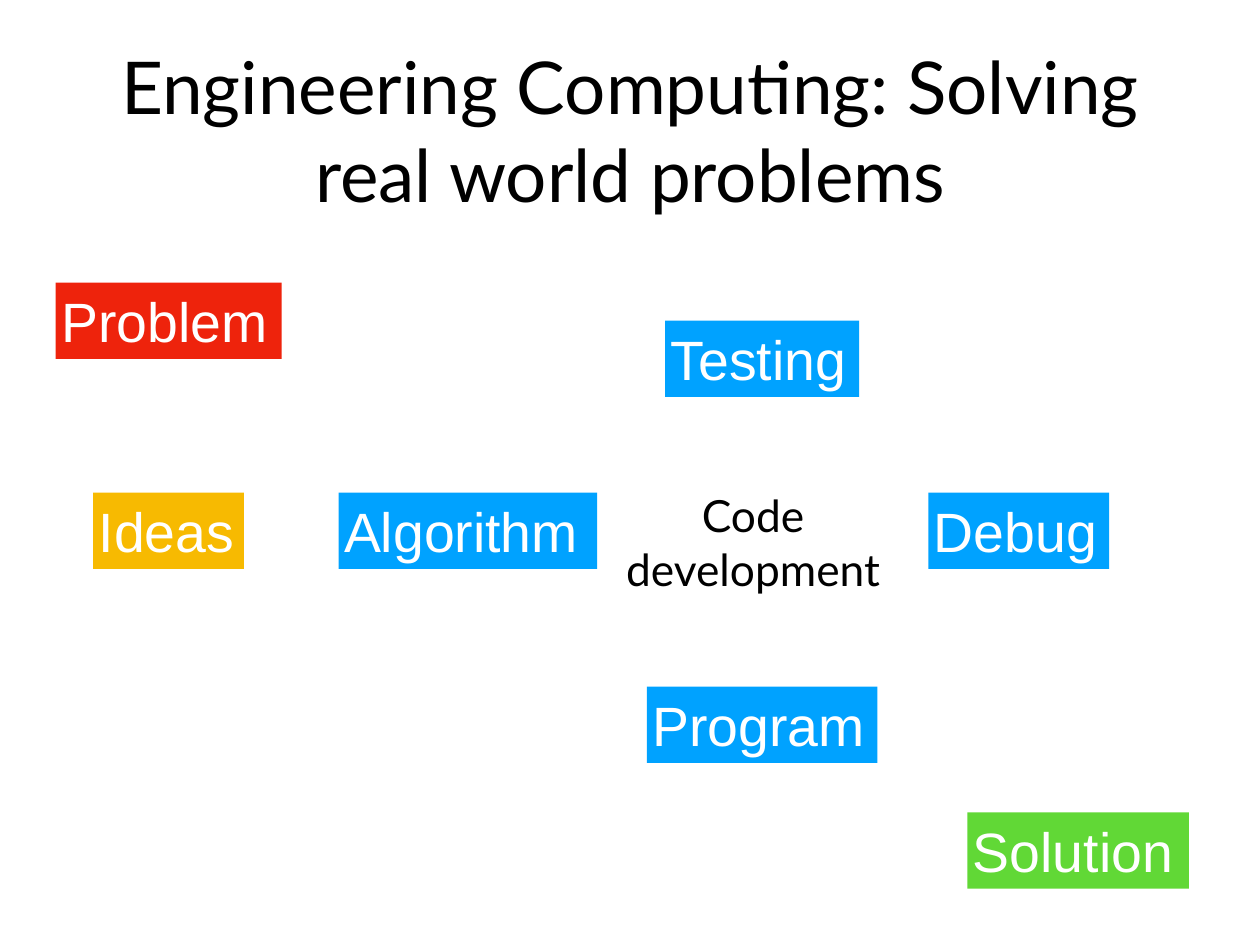
from dataclasses import dataclass

from pptx import Presentation
from pptx.dml.color import RGBColor
from pptx.enum.shapes import MSO_SHAPE
from pptx.enum.text import MSO_ANCHOR, PP_ALIGN
from pptx.util import Pt

RECTANGLE = MSO_SHAPE.RECTANGLE
MIDDLE = MSO_ANCHOR.MIDDLE
LEFT, CENTER = PP_ALIGN.LEFT, PP_ALIGN.CENTER


@dataclass(frozen=True)
class Theme:
    red: str = "EE230C"
    amber: str = "F7BA01"
    blue: str = "00A2FF"
    green: str = "61D836"
    black: str = "000000"
    white: str = "FFFFFF"
    text_font: str = "Lato"
    step_font: str = "Arial"
    title_size: float = 59.2
    step_size: float = 45
    caption_size: float = 36


THEME = Theme()

TITLE = "Engineering Computing: Solving real world problems"
CAPTION = "Code development"

# Lengths in points
SLIDE_SIZE = (1024, 768)
INSET = 4.5
STEP_HEIGHT = 62
START_X, CYCLE_X = 137, 619.4
FLOW_Y = 431.3

# Step, centre x, centre y, width, fill
STEPS = [
    ("Problem", START_X, 260.6, 183.6, THEME.red),
    ("Ideas", START_X, FLOW_Y, 122.4, THEME.amber),
    ("Algorithm", 380.2, FLOW_Y, 210.2, THEME.blue),
    ("Solution", 876.2, 691.2, 180, THEME.green),
    ("Program", CYCLE_X, 589, 187.2, THEME.blue),
    ("Debug", 828, FLOW_Y, 146.9, THEME.blue),
    ("Testing", CYCLE_X, 291.6, 157.7, THEME.blue),
]

# Text, centre x, centre y, width, height, size
LABELS = [
    (TITLE, 512, 105.1, 874, 170, THEME.title_size),
    (CAPTION, 612, 440.3, 246.2, 105.8, THEME.caption_size),
]


def centred_frame(x, y, width, height):
    """Return left, top, width and height of a frame centred on x, y."""
    return Pt(x - width / 2), Pt(y - height / 2), Pt(width), Pt(height)


def write(shape, text, font_name, size, color, alignment):
    frame = shape.text_frame
    frame.word_wrap = True
    frame.vertical_anchor = MIDDLE
    frame.margin_left = frame.margin_right = Pt(INSET)
    frame.margin_top = frame.margin_bottom = Pt(INSET)
    frame.text = text
    paragraph = frame.paragraphs[0]
    paragraph.alignment = alignment
    font = paragraph.runs[0].font
    font.name = font_name
    font.size = Pt(size)
    font.color.rgb = RGBColor.from_string(color)


def add_step(slide, name, x, y, width, fill):
    step = slide.shapes.add_shape(RECTANGLE, *centred_frame(x, y, width, STEP_HEIGHT))
    step.shadow.inherit = False
    step.fill.solid()
    step.fill.fore_color.rgb = RGBColor.from_string(fill)
    step.line.fill.background()
    write(step, name, THEME.step_font, THEME.step_size, THEME.white, LEFT)


def add_label(slide, text, x, y, width, height, size):
    label = slide.shapes.add_textbox(*centred_frame(x, y, width, height))
    write(label, text, THEME.text_font, size, THEME.black, CENTER)


def main():
    deck = Presentation()
    deck.slide_width, deck.slide_height = map(Pt, SLIDE_SIZE)
    slide = deck.slides.add_slide(deck.slide_layouts[6])
    for step in STEPS:
        add_step(slide, *step)
    for label in LABELS:
        add_label(slide, *label)
    deck.save("out.pptx")


if __name__ == "__main__":
    main()
